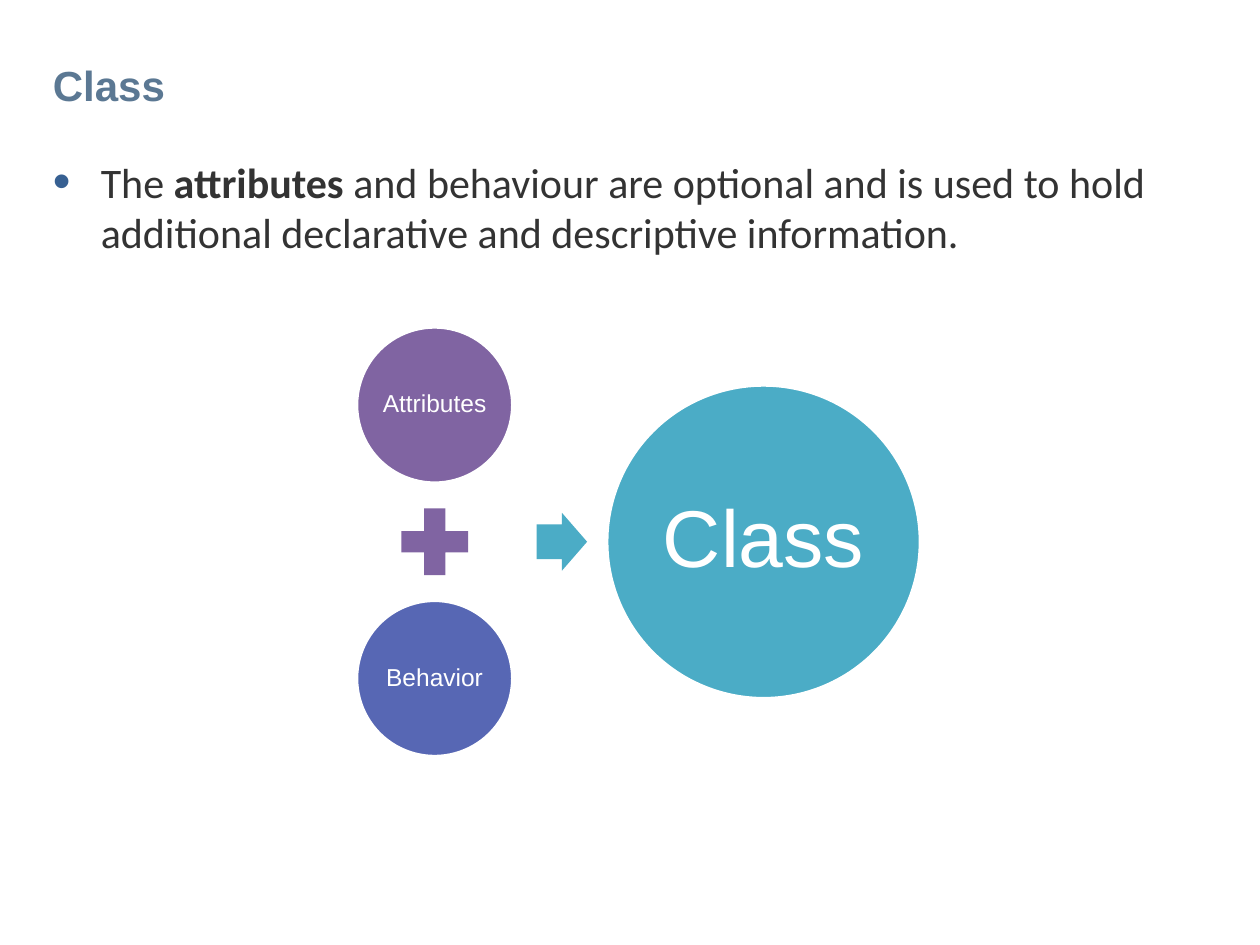
from lxml import etree
from pptx import Presentation
from pptx.dml.color import RGBColor
from pptx.enum.shapes import MSO_SHAPE as Shape
from pptx.enum.text import MSO_ANCHOR as Anchor, PP_ALIGN as Align
from pptx.oxml.ns import qn
from pptx.util import Inches, Pt

TITLE = [("Class", True)]
BODY = [
    ("The ", False),
    ("attributes", True),
    (" and behaviour are optional and is used to hold "
     "additional declarative and descriptive information.", False),
]
PARTS_X, RESULT_X, MIDDLE_Y = 3.45, 6.06, 4.3
PART_STEP = 1.085
CIRCLES = [
    ("Attributes", PARTS_X, MIDDLE_Y - PART_STEP, 1.24, "8064A2", 14, 0.02),
    ("Behavior", PARTS_X, MIDDLE_Y + PART_STEP, 1.24, "5767B4", 14, 0.02),
    ("Class", RESULT_X, MIDDLE_Y, 2.49, "4BACC6", 46, 0.06),
]
SIGNS = [
    (Shape.MATH_PLUS, PARTS_X, 0.72, 0.72, "8064A2", []),
    (Shape.RIGHT_ARROW, 4.46, 0.4, 0.46, "4BACC6", [0.6, 0.5]),
]


def color(value):
    """Turn a hex string into a colour."""
    return RGBColor.from_string(value)


def write(box, runs, size, ink, font="Arial", align=Align.LEFT,
          anchor=Anchor.TOP, insets=(0, 0, 0, 0), spacing=None):
    """Write one paragraph of (text, bold) runs into a box."""
    frame = box.text_frame
    frame.word_wrap = True
    frame.vertical_anchor = anchor
    (frame.margin_left, frame.margin_top,
     frame.margin_right, frame.margin_bottom) = map(Inches, insets)
    para = frame.paragraphs[0]
    para.alignment = align
    para.line_spacing = spacing
    for text, bold in runs:
        span = para.add_run()
        span.text = text
        span.font.name = font
        span.font.size = Pt(size)
        span.font.bold = bold
        span.font.color.rgb = color(ink)
    return para


def add_bullet(para, indent, ink, percent):
    """Give a paragraph a hanging round bullet."""
    props = para._p.get_or_add_pPr()
    props.set("marL", str(Inches(indent)))
    props.set("indent", str(-Inches(indent)))
    tint = etree.SubElement(props, qn("a:buClr"))
    etree.SubElement(tint, qn("a:srgbClr"), val=ink)
    etree.SubElement(props, qn("a:buSzPct"), val=str(percent * 1000))
    etree.SubElement(props, qn("a:buFont"), typeface="Arial")
    etree.SubElement(props, qn("a:buChar"), char="•")


def add_centered(page, kind, x, y, width, height, fill):
    """Add a filled shape around a centre point."""
    shape = page.shapes.add_shape(
        kind, Inches(x - width / 2), Inches(y - height / 2),
        Inches(width), Inches(height))
    shape.shadow.inherit = False
    shape.fill.solid()
    shape.fill.fore_color.rgb = color(fill)
    shape.line.fill.background()
    return shape


def add_text_box(page, top, height):
    """Add a text box as wide as the content area."""
    return page.shapes.add_textbox(
        Inches(0.42), Inches(top), Inches(9.14), Inches(height))


deck = Presentation()
deck.slide_width, deck.slide_height = Inches(10), Inches(7.5)
page = deck.slides.add_slide(deck.slide_layouts[6])

write(add_text_box(page, 0.35, 0.57), TITLE, 24, "5B7893",
      anchor=Anchor.BOTTOM, insets=(0, 0, 0, 0.05))
statement = write(add_text_box(page, 1.24, 5.49), BODY, 24, "333333",
                  font="Calibri")
add_bullet(statement, 0.38, "376092", 120)

for label, x, y, size, fill, points, inset in CIRCLES:
    circle = add_centered(page, Shape.OVAL, x, y, size, size, fill)
    circle.line.color.rgb = color("FFFFFF")
    circle.line.width = Pt(2)
    write(circle, [(label, False)], points, "FFFFFF", align=Align.CENTER,
          anchor=Anchor.MIDDLE, insets=[inset] * 4, spacing=0.9)

for kind, x, width, height, fill, adjustments in SIGNS:
    sign = add_centered(page, kind, x, MIDDLE_Y, width, height, fill)
    for index, value in enumerate(adjustments):
        sign.adjustments[index] = value

deck.save("out.pptx")
